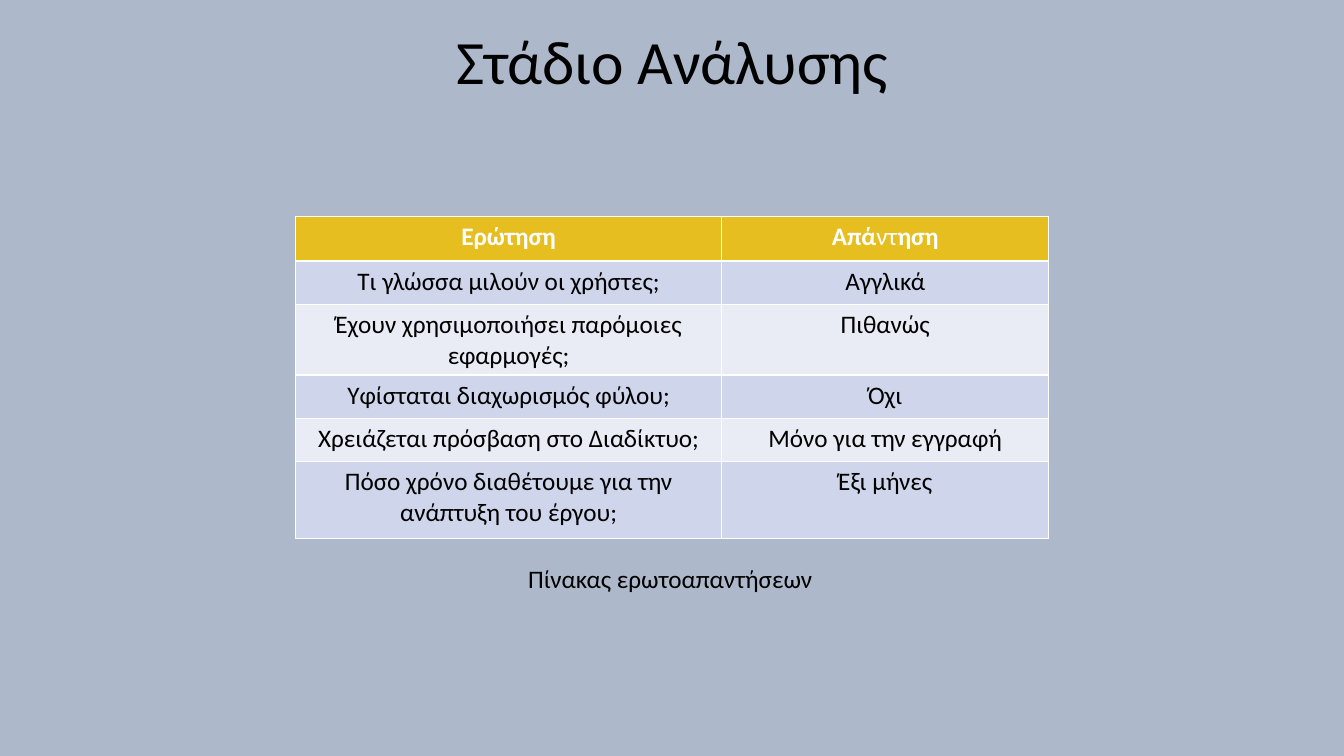
import pptx
import pptx.dml.color
import pptx.enum.text
import pptx.util
from dataclasses import dataclass

Inches = pptx.util.Inches
ALIGN = pptx.enum.text.PP_ALIGN
ANCHOR = pptx.enum.text.MSO_ANCHOR


@dataclass(frozen=True)
class Theme:
    font: str = "Calibri"
    background: str = "ADB9CA"
    header: str = "E6BE20"
    bands: tuple = ("CFD5EA", "E9EBF5")
    text: str = "000000"
    header_text: str = "FFFFFF"
    title_size: int = 44
    body_size: int = 18


theme = Theme()


def write(paragraph, pieces, size, color, alignment=ALIGN.CENTER):
    """Fill a paragraph with (text, bold) pieces."""
    paragraph.alignment = alignment
    for text, bold in pieces:
        run = paragraph.add_run()
        run.text = text
        formats = {"name": theme.font, "size": pptx.util.Pt(size), "bold": bold}
        for name, value in formats.items():
            setattr(run.font, name, value)
        run.font.color.rgb = pptx.dml.color.RGBColor.from_string(color)


def paint(fill, color):
    fill.solid()
    fill.fore_color.rgb = pptx.dml.color.RGBColor.from_string(color)


# Slide and background
presentation = pptx.Presentation()
presentation.slide_width = Inches(13.33)
presentation.slide_height = Inches(7.5)
slide = presentation.slides.add_slide(presentation.slide_layouts[6])
paint(slide.background.fill, theme.background)

# Title
title = slide.shapes.add_textbox(Inches(0.92), Inches(0.26), Inches(11.5), Inches(0.76))
title.text_frame.word_wrap = True
title.text_frame.vertical_anchor = ANCHOR.MIDDLE
paragraph = title.text_frame.paragraphs[0]
paragraph.line_spacing = 0.9
write(paragraph, [("Στάδιο Ανάλυσης", False)], theme.title_size, theme.text)

# Questions and answers; the default table style draws the white borders
header = ([("Ερώτηση", True)], [("Απά", True), ("ντ", False), ("ηση", True)])
answers = [
    ("Τι γλώσσα µιλούν οι χρήστες;", "Αγγλικά"),
    ("Έχουν χρησιµοποιήσει παρόµοιες εφαρµογές;", "Πιθανώς"),
    ("Υφίσταται διαχωρισμός φύλου;", "Όχι"),
    ("Χρειάζεται πρόσβαση στο ∆ιαδίκτυο;", "Μόνο για την εγγραφή"),
    ("Πόσο χρόνο διαθέτουµε για την ανάπτυξη του έργου;", "Έξι μήνες"),
]
rows = [header] + [[[(text, False)] for text in pair] for pair in answers]
column_widths = (4.23, 3.24)
row_heights = (0.44, 0.43, 0.43, 0.43, 0.43, 0.76)
table = slide.shapes.add_table(
    len(rows), len(column_widths), Inches(2.93), Inches(2.15),
    Inches(sum(column_widths)), Inches(sum(row_heights))).table
for column, width in zip(table.columns, column_widths):
    column.width = Inches(width)
for index, (row, height) in enumerate(zip(rows, row_heights)):
    table.rows[index].height = Inches(height)
    fill_color = theme.bands[(index - 1) % 2] if index else theme.header
    text_color = theme.text if index else theme.header_text
    for cell, pieces in zip(table.rows[index].cells, row):
        paint(cell.fill, fill_color)
        write(cell.text_frame.paragraphs[0], pieces, theme.body_size, text_color)

# Caption
caption = slide.shapes.add_textbox(Inches(5.14), Inches(5.54), Inches(3.06), Inches(0.4))
caption.text_frame.word_wrap = False
caption.text_frame.auto_size = pptx.enum.text.MSO_AUTO_SIZE.SHAPE_TO_FIT_TEXT
write(caption.text_frame.paragraphs[0], [("Πίνακας ερωτοαπαντήσεων", False)],
      theme.body_size, theme.text, ALIGN.LEFT)

presentation.save("out.pptx")
